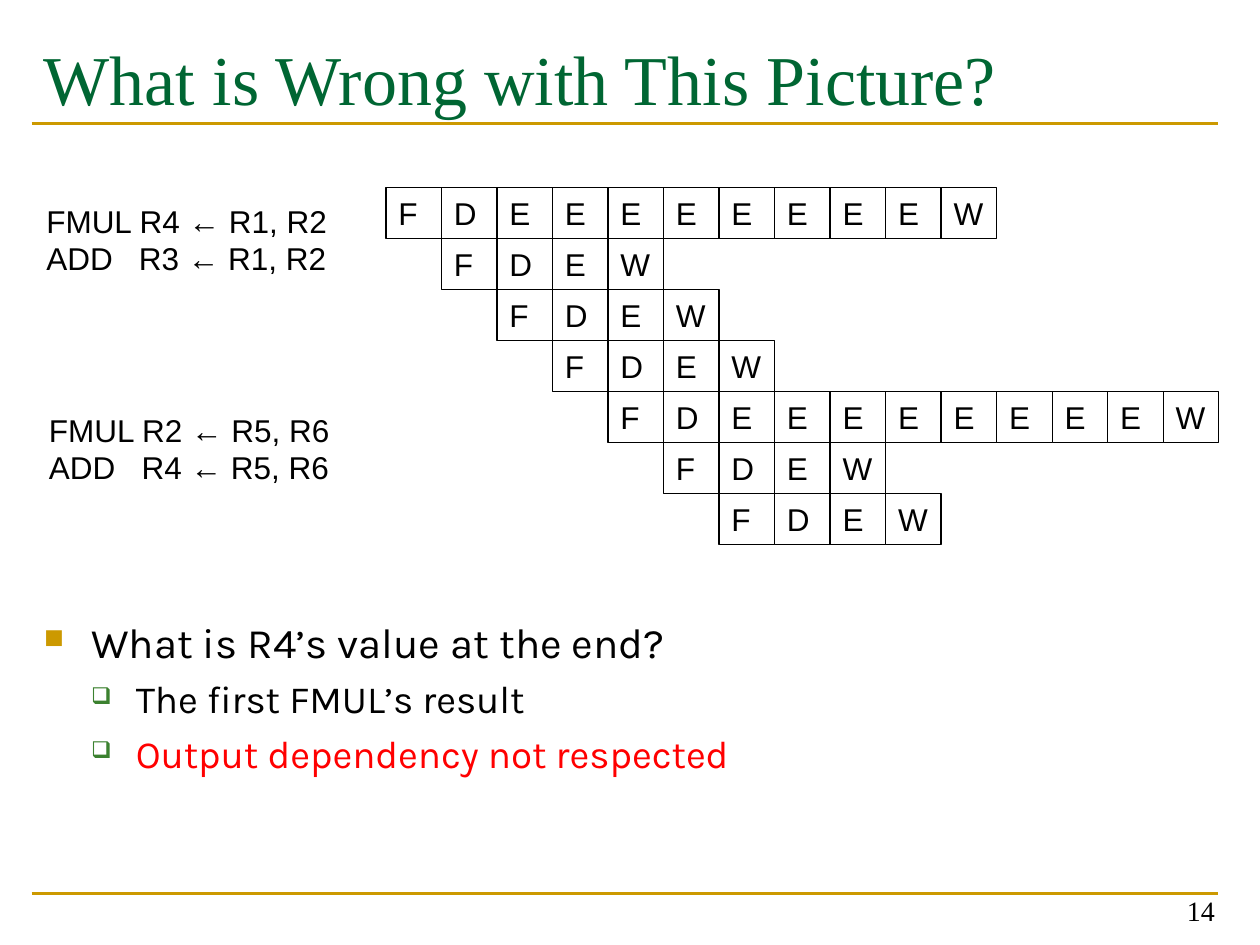
import pptx
import pptx.util
import pptx.dml.color
import pptx.enum.shapes
import pptx.enum.text
import pptx.oxml.ns
from lxml import etree

Pt = pptx.util.Pt
Align = pptx.enum.text.PP_ALIGN
Anchor = pptx.enum.text.MSO_ANCHOR

theme = {
    "title": "006633", "gold": "CC9900", "leaf": "3B812F",
    "ink": "000000", "alert": "FF0000", "paper": "FFFFFF",
    "serif": "Times New Roman", "sans": "Arial", "body": "Karla",
    "head": 40, "main": 24, "sub": 22, "code": 18, "page": 16,
    "rule": 1.5, "edge": 0.75,
}

title = "What is Wrong with This Picture?"
page = "14"
stages = [
    "FDEEEEEEEEW",
    "FDEW",
    "FDEW",
    "FDEW",
    "FDEEEEEEEEW",
    "FDEW",
    "FDEW",
]
codes = [
    ((19.4, 111.6, 176, 51.1), ["FMUL R4 ← R1, R2", "ADD   R3 ← R1, R2"]),
    ((20.9, 231.1, 176, 51.1), ["FMUL R2 ← R5, R6", "ADD   R4 ← R5, R6"]),
]
points = [
    (0, "What is R4’s value at the end?", "ink"),
    (1, "The first FMUL’s result", "ink"),
    (1, "Output dependency not respected", "alert"),
]
levels = [
    {"size": "main", "left": 27, "hang": 27, "mark": ("■", "gold", 65)},
    {"size": "sub", "left": 52.5, "hang": 25.5, "mark": ("❑", "leaf", 60)},
]

left, right = 18, 696.2
rules = [70.6, 510.5]
grid = {"x": 220.5, "y": 107.2, "w": 31.73, "h": 29.16}


def tint(name):
    return pptx.dml.color.RGBColor.from_string(theme[name])


def put(frame, text, size="code", font="sans", color="ink", align=Align.LEFT,
        level=0, left=0, hang=0, mark=None, before=0, first=True):
    para = frame.paragraphs[0] if first else frame.add_paragraph()
    para.alignment = align
    para.level = level
    if mark:
        sign, hue, scale = mark
        props = para._p.get_or_add_pPr()
        props.set("marL", str(Pt(left)))
        props.set("indent", str(-Pt(hang)))
        qn = pptx.oxml.ns.qn
        tone = etree.SubElement(props, qn("a:buClr"))
        etree.SubElement(tone, qn("a:srgbClr"), val=theme[hue])
        etree.SubElement(props, qn("a:buSzPct"), val=str(scale * 1000))
        etree.SubElement(props, qn("a:buChar"), char=sign)
    para.space_before = Pt(before)
    run = para.add_run()
    run.text = text
    run.font.size = Pt(theme[size])
    run.font.name = theme[font]
    run.font.color.rgb = tint(color)


def box(slide, area, wrap=True, anchor=Anchor.TOP):
    frame = slide.shapes.add_textbox(*map(Pt, area)).text_frame
    frame.word_wrap = wrap
    frame.vertical_anchor = anchor
    return frame


def rule(slide, y):
    kind = pptx.enum.shapes.MSO_CONNECTOR.STRAIGHT
    line = slide.shapes.add_connector(kind, Pt(left), Pt(y), Pt(right), Pt(y))
    line.line.color.rgb = tint("gold")
    line.line.width = Pt(theme["rule"])
    etree.SubElement(line._element.spPr, pptx.oxml.ns.qn("a:effectLst"))


def cell(group, col, row, text):
    kind = pptx.enum.shapes.MSO_SHAPE.RECTANGLE
    x, y = grid["x"] + col * grid["w"], grid["y"] + row * grid["h"]
    shape = group.shapes.add_shape(kind, Pt(x), Pt(y), Pt(grid["w"]), Pt(grid["h"]))
    shape.shadow.inherit = False
    shape.fill.solid()
    shape.fill.fore_color.rgb = tint("paper")
    shape.line.color.rgb = tint("ink")
    shape.line.width = Pt(theme["edge"])
    shape.text_frame.vertical_anchor = Anchor.TOP
    put(shape.text_frame, text)


def main():
    deck = pptx.Presentation()
    deck.slide_width, deck.slide_height = Pt(720), Pt(540)
    slide = deck.slides.add_slide(deck.slide_layouts[6])

    for y in rules:
        rule(slide, y)

    head = box(slide, (left, 12.2, right - left, 58))
    head.margin_top = Pt(8)
    put(head, title, size="head", font="serif", color="title")

    for row, steps in enumerate(stages):
        group = slide.shapes.add_group_shape()
        for step, name in enumerate(steps):
            cell(group, row + step, row, name)

    for area, lines in codes:
        frame = box(slide, area, wrap=False)
        for i, text in enumerate(lines):
            put(frame, text, first=i == 0)

    frame = box(slide, (left, 348.7, right - left, 137.3))
    for i, (level, text, color) in enumerate(points):
        put(frame, text, font="body", color=color, level=level,
            before=5 if i else 0, first=i == 0, **levels[level])

    foot = box(slide, (533.5, 497.5, 167.8, 36), anchor=Anchor.BOTTOM)
    put(foot, page, size="page", font="serif", align=Align.RIGHT)

    deck.save("out.pptx")


if __name__ == "__main__":
    main()
